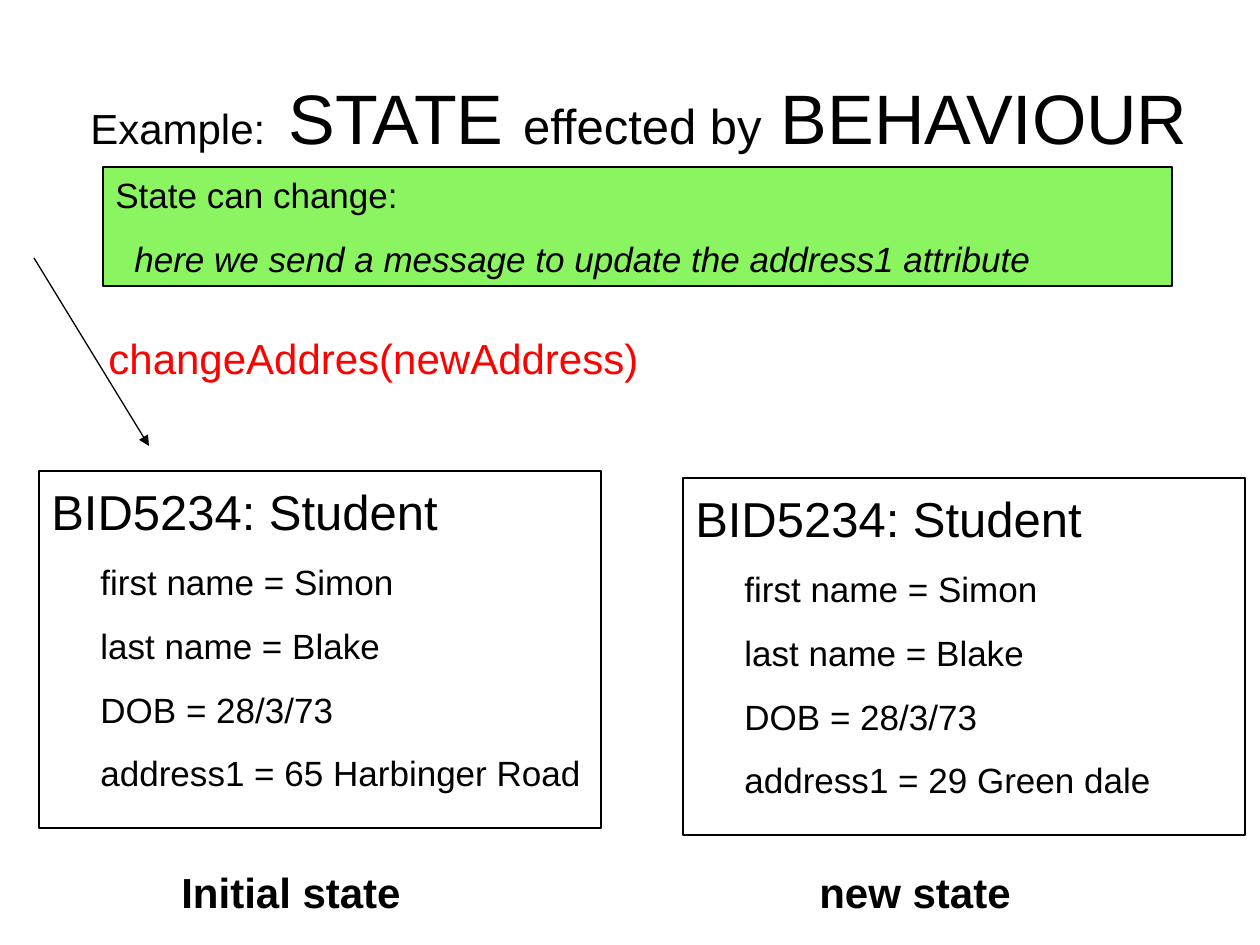
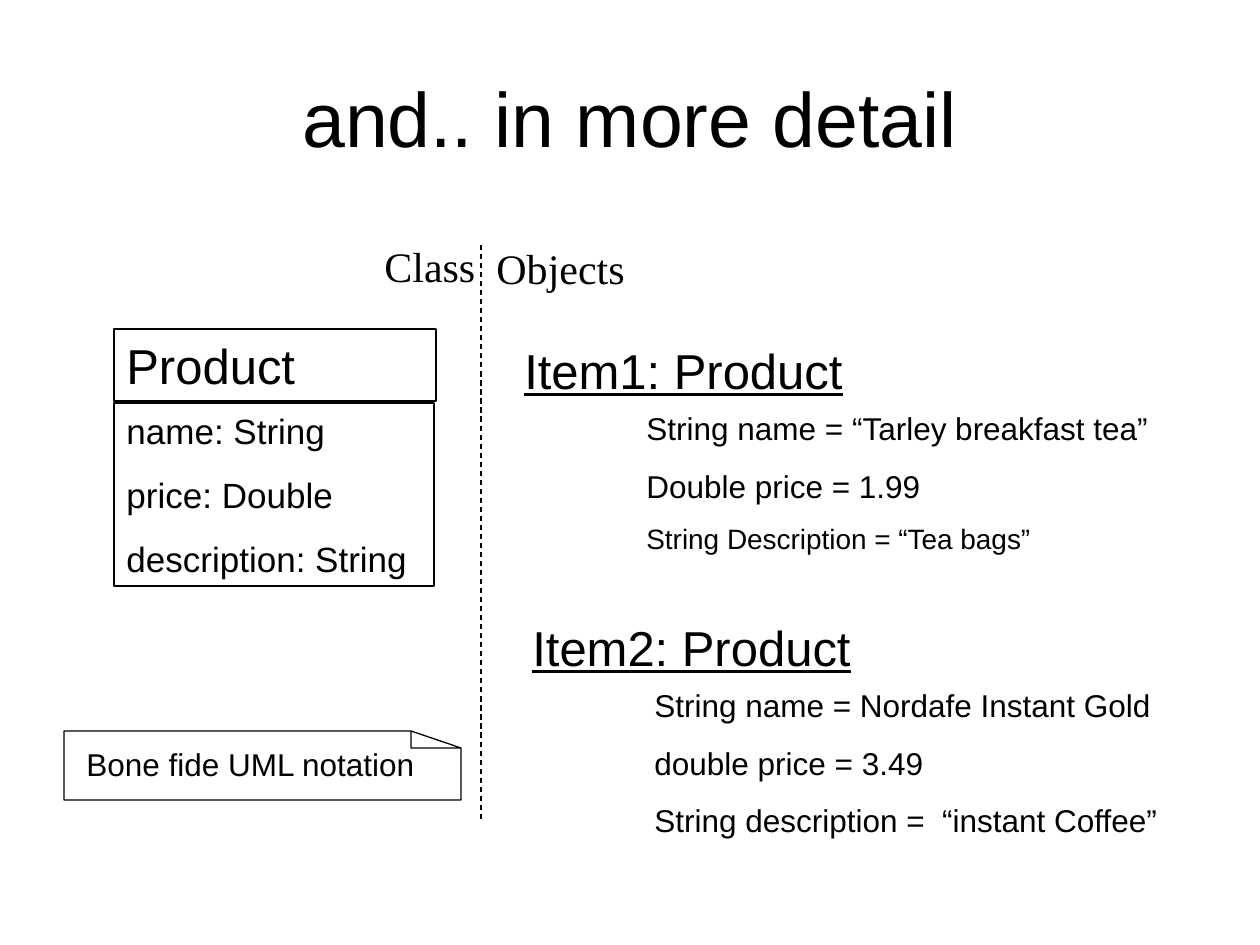
from lxml import etree
from pptx import Presentation
from pptx.dml.color import RGBColor
from pptx.enum.dml import MSO_LINE
from pptx.enum.shapes import MSO_CONNECTOR, MSO_SHAPE
from pptx.enum.text import MSO_ANCHOR, PP_ALIGN
from pptx.oxml.ns import qn
from pptx.util import Emu, Pt

RECTANGLE = MSO_SHAPE.RECTANGLE
STRAIGHT = MSO_CONNECTOR.STRAIGHT
DASH = MSO_LINE.DASH
TOP, MIDDLE = MSO_ANCHOR.TOP, MSO_ANCHOR.MIDDLE
CENTER = PP_ALIGN.CENTER

PX_PER_INCH = 126
SLIDE_SIZE = (1260, 945)
TITLE_ONLY = 5
SANS, SERIF = "Arial", "Times New Roman"
COLOURS = {"ink": "000000", "paper": "FFFFFF", "message": "FF0000", "banner": "8BF561"}
LINE_WIDTH = 0.75
SPACE_RATIO = 0.625  # paragraph space before, as a share of the text size


def px(length):
    return Emu(round(length * 914400 / PX_PER_INCH))


def colour(name):
    return RGBColor.from_string(COLOURS[name])


# Text
def add_span(para, text, size, font=SANS, ink="ink", bold=False, italic=False, underline=False):
    span = para.add_run()
    span.text = text
    span.font.name = font
    span.font.size = Pt(size)
    span.font.color.rgb = colour(ink)
    span.font.bold = bold
    span.font.italic = italic
    span.font.underline = underline


def write_lines(shape, lines, size, **style):
    """Each line is a string, or a (string, style changes) pair."""
    frame = shape.text_frame
    frame.word_wrap = True
    frame.vertical_anchor = TOP
    for index, line in enumerate(lines):
        text, changes = (line, {}) if isinstance(line, str) else line
        look = {"size": size, **style, **changes}
        indent = look.pop("indent", 0)
        para = frame.paragraphs[0] if index == 0 else frame.add_paragraph()
        para.space_before = Pt(look["size"] * SPACE_RATIO)
        if indent:
            para._p.get_or_add_pPr().set("marL", str(px(indent)))
        add_span(para, text, **look)


def add_text(page, box, lines, size, **style):
    shape = page.shapes.add_textbox(*map(px, box))
    write_lines(shape, lines, size, **style)


# Outlined shapes and lines
def outline(shape, fill="paper"):
    shape.shadow.inherit = False
    shape.fill.solid()
    shape.fill.fore_color.rgb = colour(fill)
    shape.line.color.rgb = colour("ink")
    shape.line.width = Pt(LINE_WIDTH)


def add_panel(page, box, lines=(), size=20, fill="paper"):
    panel = page.shapes.add_shape(RECTANGLE, *map(px, box))
    outline(panel, fill)
    if lines:
        for para in panel.text_frame.paragraphs:
            para.alignment = PP_ALIGN.LEFT
        write_lines(panel, lines, size)
        for para in panel.text_frame.paragraphs:
            para.alignment = PP_ALIGN.LEFT


def add_line(page, start, end, dashed=False, arrow=False):
    line = page.shapes.add_connector(STRAIGHT, *map(px, start + end))
    line.line.color.rgb = colour("ink")
    line.line.width = Pt(LINE_WIDTH)
    if dashed:
        line.line.dash_style = DASH
    if arrow:
        etree.SubElement(line.line._get_or_add_ln(), qn("a:tailEnd"), type="triangle")
    etree.SubElement(line._element.spPr, qn("a:effectLst"))


# Page with its title
def add_page(deck, title_spans, title_width):
    page = deck.slides.add_slide(deck.slide_layouts[TITLE_ONLY])
    title = page.shapes.title
    title.left, title.top, title.width, title.height = map(px, (63, 38, title_width, 158))
    title.text_frame.vertical_anchor = MIDDLE
    para = title.text_frame.paragraphs[0]
    para.alignment = CENTER
    for text, size in title_spans:
        add_span(para, text, size)
    return page


# Regions
def add_student_card(page, box, address):
    left, top, width, height = box
    attributes = ["first name = Simon", "last name = Blake", "DOB = 28/3/73",
                  f"address1 = {address}"]
    add_panel(page, box)
    add_text(page, (left + 49, top + 83, width - 36, 247), attributes, 20)
    add_text(page, (left, top + 4, width - 60, 72), ["BID5234: Student"], 28)


def add_class_box(page, box, name, attributes):
    left, top, width, height = box
    header = 72
    add_panel(page, (left, top, width, header), [name], 28)
    add_panel(page, (left, top + header + 2, width - 2, height - header - 2), attributes)


def add_object(page, box, name, attributes):
    left, top, width, height = box
    add_text(page, (left, top, 367, 72), [name], 28, underline=True)
    add_text(page, (left + 122, top + 69, width - 122, height - 69), attributes, 18)


def add_note(page, box, text):
    left, top, width, height = box
    fold_width, fold_height = 50, 17
    right, bottom = left + width, top + height
    tip = (right - fold_width, top)
    crease = (right - fold_width, top + fold_height)
    corner = (right, top + fold_height)
    points = [(left, bottom), (right, bottom), corner, tip, crease, corner, tip]
    builder = page.shapes.build_freeform(px(left), px(top))
    builder.add_line_segments([(px(x), px(y)) for x, y in points], close=True)
    outline(builder.convert_to_shape())
    add_text(page, (left + 10, top + 8, width - 39, 50), [text], 18)


# Slides
def build_state_page(deck):
    title = [("Example:  ", 24), ("STATE ", 40), ("effected by", 28), (" BEHAVIOUR", 40)]
    page = add_page(deck, title, 1152)
    states = [((39, 471, 562, 357), "65 Harbinger Road", "Initial state", 130),
              ((683, 478, 562, 357), "29 Green dale", "new state", 124)]
    for box, address, caption, shift in states:
        add_student_card(page, box, address)
        add_text(page, (box[0] + shift, 860, 289, 63), [caption], 24, bold=True)

    # Message that changes the state
    add_line(page, (34, 258), (149, 446), arrow=True)
    add_text(page, (96, 326, 625, 63), ["changeAddres(newAddress)"], 24, ink="message")
    purpose = "here we send a message to update the address1 attribute"
    add_panel(page, (103, 167, 1069, 119),
              ["State can change:", (purpose, {"italic": True, "indent": 19})], fill="banner")


def build_detail_page(deck):
    page = add_page(deck, [("and.. in more detail", 44)], 1134)

    # Class side
    add_text(page, (372, 234, 147, 63), ["Class"], 24, font=SERIF)
    add_class_box(page, (114, 329, 322, 257), "Product",
                  ["name: String", "price: Double", "description: String"])
    add_note(page, (64, 731, 397, 69), "Bone fide UML notation")

    # Divider
    add_line(page, (481, 245), (481, 820), dashed=True)

    # Object side
    add_text(page, (484, 236, 168, 63), ["Objects"], 24, font=SERIF)
    add_object(page, (512, 334, 748, 228), "Item1: Product",
               ["String name = “Tarley breakfast tea”", "Double price = 1.99",
                ("String Description = “Tea bags”", {"size": 16})])
    add_object(page, (520, 611, 678, 235), "Item2: Product",
               ["String name = Nordafe Instant Gold", "double price = 3.49",
                "String description =  “instant Coffee”"])


def main():
    deck = Presentation()
    deck.slide_width, deck.slide_height = map(px, SLIDE_SIZE)
    build_state_page(deck)
    build_detail_page(deck)
    deck.save("out.pptx")


if __name__ == "__main__":
    main()
